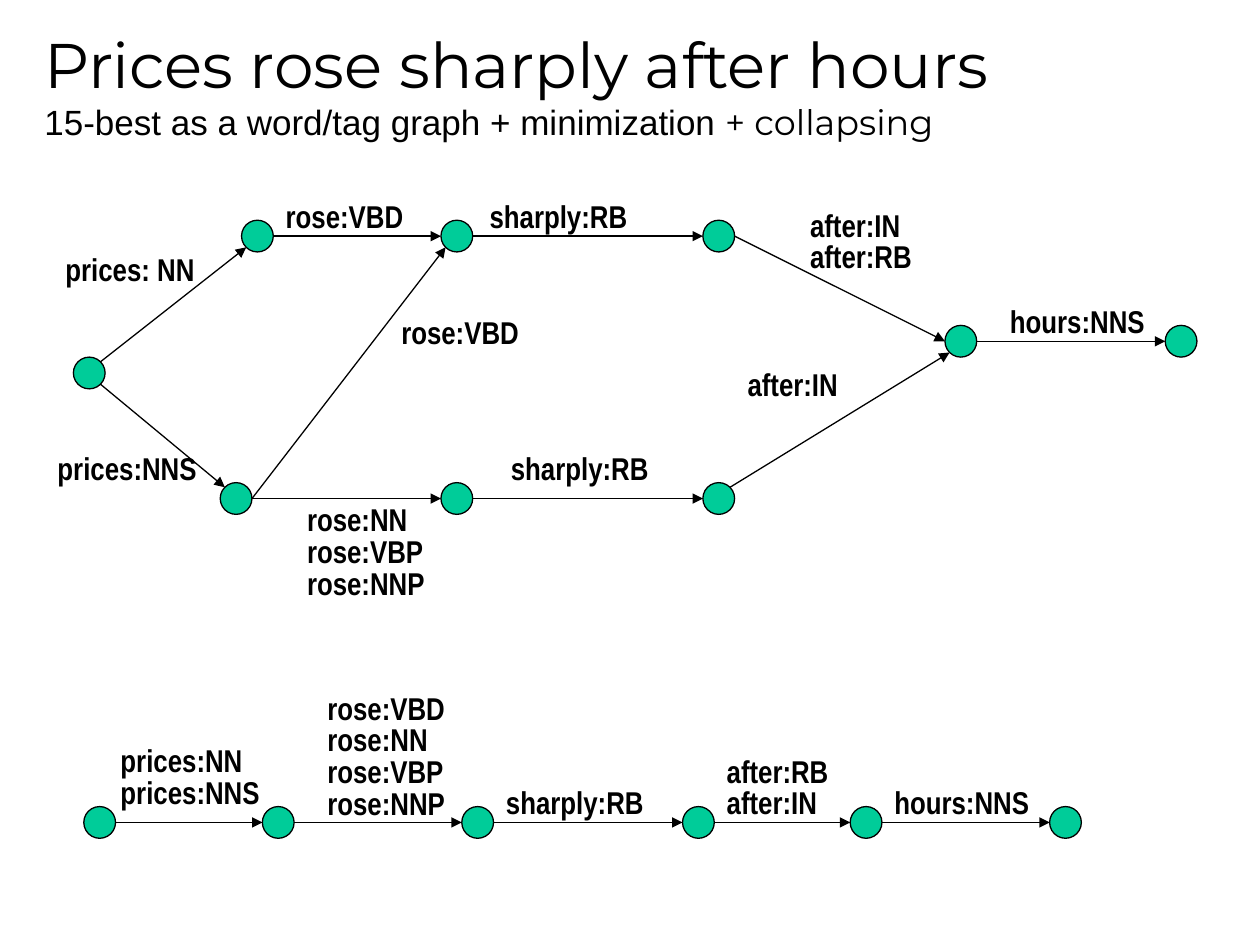
import math
from dataclasses import dataclass
from enum import Enum

import pptx
import pptx.dml.color
import pptx.enum.shapes
import pptx.enum.text
import pptx.oxml.ns
import pptx.util
from lxml import etree
from pptx.shapes.shapetree import SlideShapes
from pptx.slide import Slide
from pptx.util import Cm


@dataclass(frozen=True)
class Theme:
    ink: str = "000000"
    node_fill: str = "00CC99"
    heading_font: str = "Montserrat"
    subtitle_font: str = "Arial"
    label_font: str = "Arial Narrow"
    heading_size: float = 36
    subtitle_size: float = 20
    label_size: float = 18
    line_width: float = 0.75


class Side(Enum):
    RIGHT = 0
    LOWER_RIGHT = 45
    LOWER_LEFT = 135
    LEFT = 180
    UPPER_LEFT = 225
    UPPER_RIGHT = 315


@dataclass(frozen=True)
class Node:
    x: float
    y: float

    def rim(self, side: Side) -> tuple[float, float]:
        angle = math.radians(side.value)
        return self.x + RADIUS * math.cos(angle), self.y + RADIUS * math.sin(angle)


@dataclass(frozen=True)
class Edge:
    source: Node
    target: Node
    leave: Side = Side.RIGHT
    enter: Side = Side.LEFT


@dataclass(frozen=True)
class Label:
    x: float
    y: float
    tags: tuple[str, ...]


THEME = Theme()
RADIUS = 0.32
LABEL_HEIGHT = 1.02
LABEL_PITCH = 0.64
LABEL_WIDTHS = {
    "prices:NN": 3.01, "prices: NN": 3.14, "prices:NNS": 3.35,
    "rose:VBD": 2.91, "rose:NN": 2.56, "rose:VBP": 2.9, "rose:NNP": 2.92,
    "sharply:RB": 3.32, "after:IN": 2.36, "after:RB": 2.61, "hours:NNS": 3.27,
}

TOP, BOTTOM, MERGED, COLLAPSED = 4.76, 10.05, 6.88, 16.58
start = Node(1.8, 7.52)
prices_nn, prices_nns = Node(5.19, TOP), Node(4.76, BOTTOM)
rose_top, rose_bottom = Node(9.21, TOP), Node(9.21, BOTTOM)
sharply_top, sharply_bottom = Node(14.49, TOP), Node(14.49, BOTTOM)
after, hours = Node(19.37, MERGED), Node(23.81, MERGED)
chain = [Node(x, COLLAPSED) for x in (2.01, 5.61, 9.63, 14.08, 17.46, 21.48)]

NODES = [start, prices_nn, prices_nns, rose_top, rose_bottom,
         sharply_top, sharply_bottom, after, hours, *chain]

EDGES = [
    Edge(start, prices_nn, Side.UPPER_RIGHT, Side.LOWER_LEFT),
    Edge(start, prices_nns, Side.LOWER_RIGHT, Side.UPPER_LEFT),
    Edge(prices_nn, rose_top),
    Edge(prices_nns, rose_top, Side.RIGHT, Side.LOWER_LEFT),
    Edge(prices_nns, rose_bottom),
    Edge(rose_top, sharply_top),
    Edge(rose_bottom, sharply_bottom),
    Edge(sharply_top, after),
    Edge(sharply_bottom, after, Side.UPPER_RIGHT, Side.LOWER_LEFT),
    Edge(after, hours),
    *(Edge(source, target) for source, target in zip(chain, chain[1:])),
]

LABELS = [
    Label(1.07, 4.91, ("prices: NN",)),
    Label(0.91, 8.93, ("prices:NNS",)),
    Label(5.51, 3.85, ("rose:VBD",)),
    Label(7.84, 6.18, ("rose:VBD",)),
    Label(5.94, 9.96, ("rose:NN", "rose:VBP", "rose:NNP")),
    Label(9.62, 3.85, ("sharply:RB",)),
    Label(10.05, 8.93, ("sharply:RB",)),
    Label(16.08, 4.02, ("after:IN", "after:RB")),
    Label(14.82, 7.24, ("after:IN",)),
    Label(20.11, 5.97, ("hours:NNS",)),
    Label(2.18, 14.81, ("prices:NN", "prices:NNS")),
    Label(6.35, 13.76, ("rose:VBD", "rose:NN", "rose:VBP", "rose:NNP")),
    Label(9.95, 15.67, ("sharply:RB",)),
    Label(14.4, 15.03, ("after:RB", "after:IN")),
    Label(17.78, 15.67, ("hours:NNS",)),
]


def rgb(value: str) -> pptx.dml.color.RGBColor:
    return pptx.dml.color.RGBColor.from_string(value)


def style_run(run, font: str, size: float, bold: bool = False) -> None:
    run.font.name = font
    run.font.size = pptx.util.Pt(size)
    run.font.bold = bold
    run.font.color.rgb = rgb(THEME.ink)


def style_line(line) -> None:
    line.color.rgb = rgb(THEME.ink)
    line.width = pptx.util.Pt(THEME.line_width)


def draw_title(slide: Slide) -> None:
    title = slide.shapes.title
    title.left, title.top, title.width, title.height = Cm(0.64), Cm(0.84), Cm(24.13), Cm(1.7)
    frame = title.text_frame
    frame.auto_size = pptx.enum.text.MSO_AUTO_SIZE.NONE
    frame.vertical_anchor = pptx.enum.text.MSO_ANCHOR.MIDDLE
    frame.text = "Prices rose sharply after hours\v15-best as a word/tag graph + minimization"
    paragraph = frame.paragraphs[0]
    paragraph.alignment = pptx.enum.text.PP_ALIGN.LEFT
    paragraph.add_run().text = " + collapsing"
    heading, method, collapsing = paragraph.runs
    style_run(heading, THEME.heading_font, THEME.heading_size)
    style_run(method, THEME.subtitle_font, THEME.subtitle_size)
    style_run(collapsing, THEME.heading_font, THEME.subtitle_size)


def draw_node(shapes: SlideShapes, node: Node) -> None:
    circle = shapes.add_shape(
        pptx.enum.shapes.MSO_SHAPE.OVAL,
        Cm(node.x - RADIUS), Cm(node.y - RADIUS), Cm(2 * RADIUS), Cm(2 * RADIUS))
    circle.shadow.inherit = False
    circle.fill.solid()
    circle.fill.fore_color.rgb = rgb(THEME.node_fill)
    style_line(circle.line)


def draw_edge(shapes: SlideShapes, edge: Edge) -> None:
    ends = (*edge.source.rim(edge.leave), *edge.target.rim(edge.enter))
    arrow = shapes.add_connector(
        pptx.enum.shapes.MSO_CONNECTOR.STRAIGHT, *(Cm(value) for value in ends))
    style_line(arrow.line)
    properties = arrow._element.spPr
    etree.SubElement(arrow.line._get_or_add_ln(), pptx.oxml.ns.qn("a:tailEnd"), type="triangle")
    etree.SubElement(properties, pptx.oxml.ns.qn("a:effectLst"))


def draw_label(shapes: SlideShapes, label: Label) -> None:
    for row, tag in enumerate(label.tags):
        frame = shapes.add_textbox(
            Cm(label.x), Cm(label.y + row * LABEL_PITCH),
            Cm(LABEL_WIDTHS[tag]), Cm(LABEL_HEIGHT)).text_frame
        frame.word_wrap = False
        frame.auto_size = pptx.enum.text.MSO_AUTO_SIZE.SHAPE_TO_FIT_TEXT
        frame.text = tag
        style_run(frame.paragraphs[0].runs[0], THEME.label_font, THEME.label_size, bold=True)


def main() -> None:
    deck = pptx.Presentation()
    deck.slide_width, deck.slide_height = Cm(25.4), Cm(19.05)
    slide = deck.slides.add_slide(deck.slide_layouts.get_by_name("Title Only"))
    draw_title(slide)
    for node in NODES:
        draw_node(slide.shapes, node)
    for edge in EDGES:
        draw_edge(slide.shapes, edge)
    for label in LABELS:
        draw_label(slide.shapes, label)
    deck.save("out.pptx")


if __name__ == "__main__":
    main()
